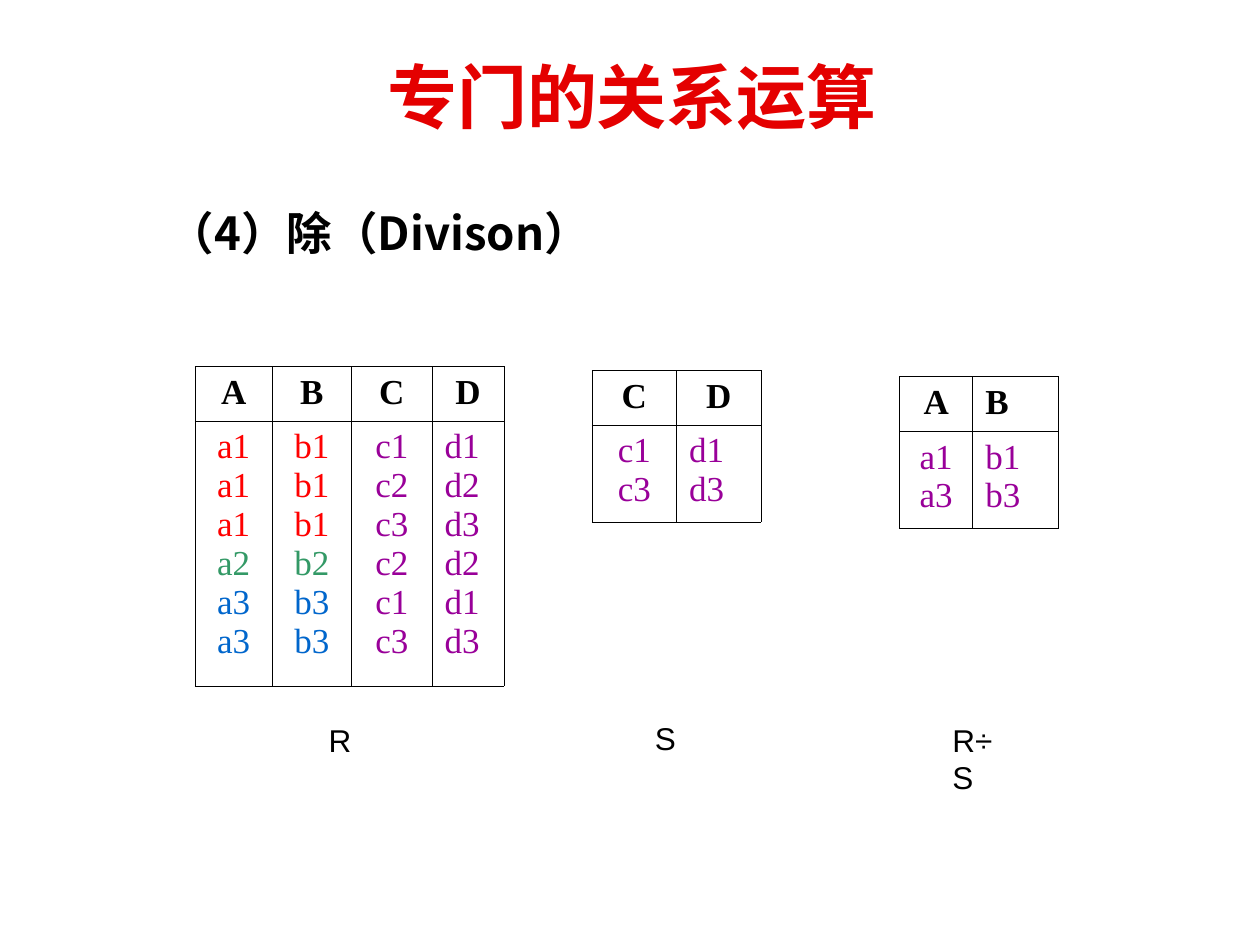
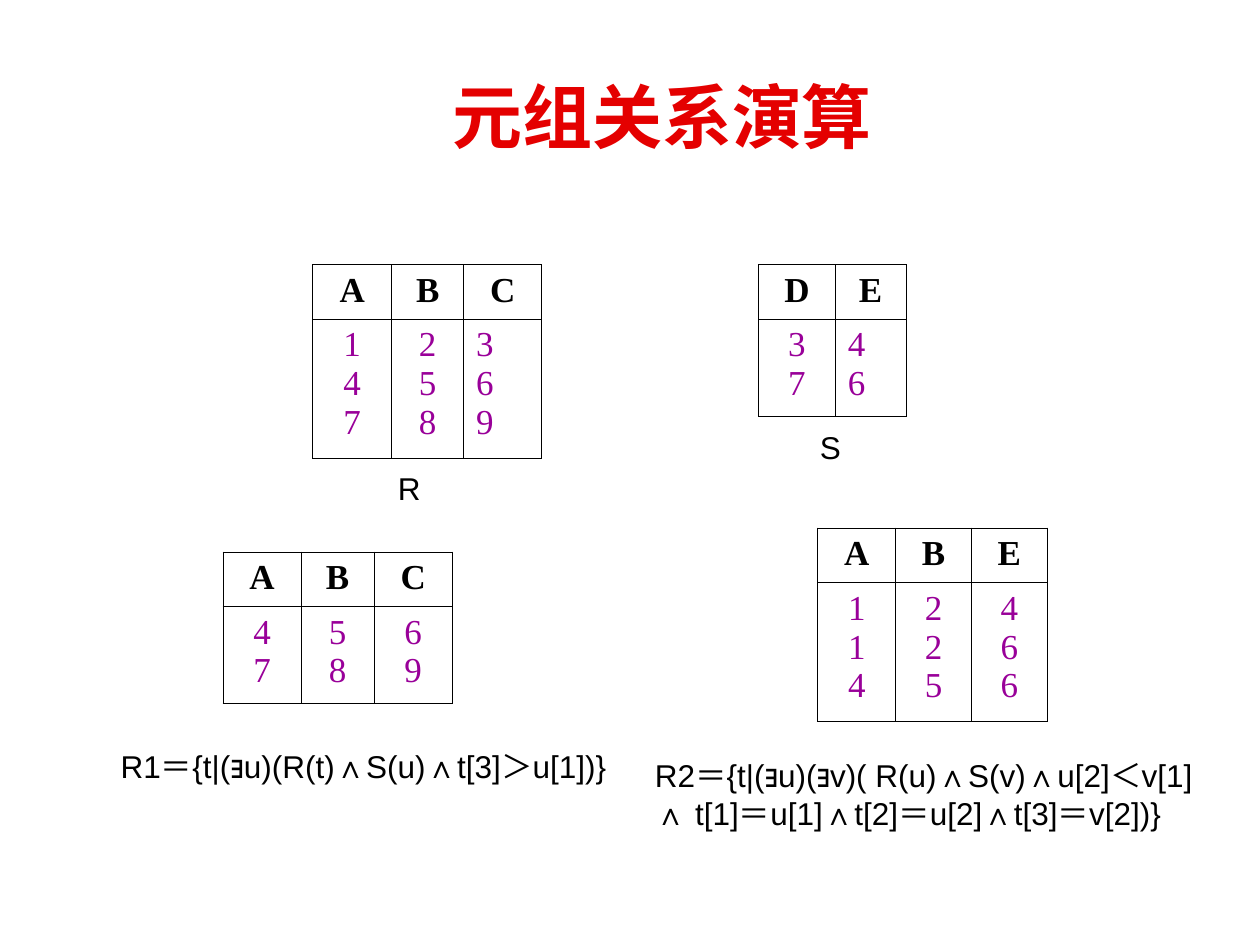
import itertools

import lxml.etree
import pptx
import pptx.dml.color
import pptx.enum.text
import pptx.oxml.ns
import pptx.util

Inches = pptx.util.Inches
Pt = pptx.util.Pt
RGBColor = pptx.dml.color.RGBColor
PP_ALIGN = pptx.enum.text.PP_ALIGN
MSO_ANCHOR = pptx.enum.text.MSO_ANCHOR
qn = pptx.oxml.ns.qn

BLACK = RGBColor(0x00, 0x00, 0x00)
TITLE_RED = RGBColor(0xE4, 0x00, 0x00)
RED = RGBColor(0xFF, 0x00, 0x00)
GREEN = RGBColor(0x33, 0x99, 0x66)
BLUE = RGBColor(0x00, 0x66, 0xCC)
PURPLE = RGBColor(0x99, 0x00, 0x99)
GROUP_COLORS = {"a1": RED, "b1": RED, "a2": GREEN, "b2": GREEN, "a3": BLUE, "b3": BLUE}

CJK = "Noto Sans CJK SC"
ALIGNS = {"l": PP_ALIGN.LEFT, "c": PP_ALIGN.CENTER}


def write(tf, text, size=18, font="Arial", color=BLACK, colors=None,
          bold=False, align="l", spacing=None):
    for i, line in enumerate(text.split("\n")):
        p = tf.add_paragraph() if i else tf.paragraphs[0]
        p.alignment = ALIGNS[align]
        if spacing:
            p.line_spacing = spacing
        for quantifier, chars in itertools.groupby(line, lambda c: c == "∃"):
            r = p.add_run()
            r.text = "".join(chars)
            r.font.size = Pt(size)
            r.font.name = font
            r.font.bold = bold or quantifier
            r.font.color.rgb = (colors or {}).get(line, color)
            ea = lxml.etree.SubElement(r.font._element, qn("a:ea"))
            ea.set("typeface", CJK)


class Deck:
    def __init__(self):
        self.prs = pptx.Presentation()
        self.prs.slide_width = Inches(10)
        self.prs.slide_height = Inches(7.5)
        self.s = None

    def slide(self, title, left, top):
        self.s = self.prs.slides.add_slide(self.prs.slide_layouts[6])
        tf = self.text(title, left, top, 7.75, 0.8, wrap=True, size=40, font=CJK,
                       color=TITLE_RED, bold=True, align="c")
        tf.vertical_anchor = MSO_ANCHOR.MIDDLE

    def text(self, text, left, top, width, height=0.4, wrap=False, **fmt):
        sp = self.s.shapes.add_textbox(Inches(left), Inches(top), Inches(width), Inches(height))
        tf = sp.text_frame
        tf.word_wrap = wrap
        write(tf, text, **fmt)
        return tf

    def border(self, cell):
        tc_pr = cell._tc.get_or_add_tcPr()
        for side in "LRTB":
            ln = lxml.etree.SubElement(tc_pr, qn(f"a:ln{side}"), w=str(Pt(0.45)))
            fill = lxml.etree.SubElement(ln, qn("a:solidFill"))
            lxml.etree.SubElement(fill, qn("a:srgbClr"), val=str(BLACK))
        cell.fill.background()

    def relation(self, left, top, widths, heads, tuples, aligns, head_aligns=None, colors=None):
        columns = ["\n".join(values) for values in zip(*(t.split() for t in tuples))]
        heights = 0.43, round(0.11 + 0.33 * max(len(tuples), 2), 2)
        if len(tuples) == 6:
            heights = 0.43, 2.1
        table = self.s.shapes.add_table(2, len(widths), Inches(left), Inches(top),
                                        Inches(sum(widths)), Inches(sum(heights))).table
        table.first_row = table.horz_banding = False
        for row, height in zip(table.rows, heights):
            row.height = Inches(height)
        head_aligns = head_aligns or "c" * len(heads)
        for i, width in enumerate(widths):
            table.columns[i].width = Inches(width)
            head, body = table.cell(0, i), table.cell(1, i)
            for cell in (head, body):
                self.border(cell)
            serif = dict(size=20, font="Times New Roman")
            write(head.text_frame, heads[i], bold=True, align=head_aligns[i], **serif)
            write(body.text_frame, columns[i], color=PURPLE, colors=colors,
                  align=aligns[i], **serif)


def division(deck):
    deck.slide("专门的关系运算", 1.14, 0.36)
    deck.text("（4）除（Divison）", 1.24, 1.45, 8.19, 1.43, wrap=True,
              size=26, font=CJK, bold=True, spacing=1.3)
    deck.relation(1.55, 2.91, [0.61, 0.63, 0.64, 0.57], "ABCD",
                  ["a1 b1 c1 d1", "a1 b1 c2 d2", "a1 b1 c3 d3",
                   "a2 b2 c2 d2", "a3 b3 c1 d1", "a3 b3 c3 d3"],
                  "cccl", colors=GROUP_COLORS)
    deck.relation(4.7, 2.94, [0.67, 0.67], "CD", ["c1 d1", "c3 d3"], "cl")
    deck.relation(7.14, 2.99, [0.58, 0.68], "AB", ["a1 b1", "a3 b3"], "cl", head_aligns="cl")
    deck.text("R", 2.51, 5.67, 0.38)
    deck.text("S", 5.1, 5.66, 0.36)
    deck.text("R÷S", 7.46, 5.67, 0.68)


def tuple_calculus(deck):
    deck.slide("元组关系演算", 1.38, 0.52)
    deck.relation(2.48, 2.1, [0.63, 0.57, 0.62], "ABC", ["1 2 3", "4 5 6", "7 8 9"], "ccl")
    deck.relation(6.02, 2.1, [0.61, 0.56], "DE", ["3 4", "7 6"], "cl")
    deck.text("R", 3.06, 3.67, 0.38)
    deck.text("S", 6.41, 3.35, 0.36)
    deck.relation(1.77, 4.38, [0.62, 0.58, 0.62], "ABC", ["4 5 6", "7 8 9"], "ccc")
    deck.relation(6.49, 4.19, [0.62, 0.6, 0.6], "ABE", ["1 2 4", "1 2 6", "4 5 6"], "ccc")
    deck.text("R1＝{t|(∃u)(R(t)∧S(u)∧t[3]＞u[1])}", 0.86, 5.88, 4.36)
    deck.text("R2＝{t|(∃u)(∃v)( R(u)∧S(v)∧u[2]＜v[1]\n"
              "∧ t[1]＝u[1]∧t[2]＝u[2]∧t[3]＝v[2])}", 5.1, 5.95, 4.7, 0.7)


def main():
    deck = Deck()
    division(deck)
    tuple_calculus(deck)
    deck.prs.save("out.pptx")


if __name__ == "__main__":
    main()
